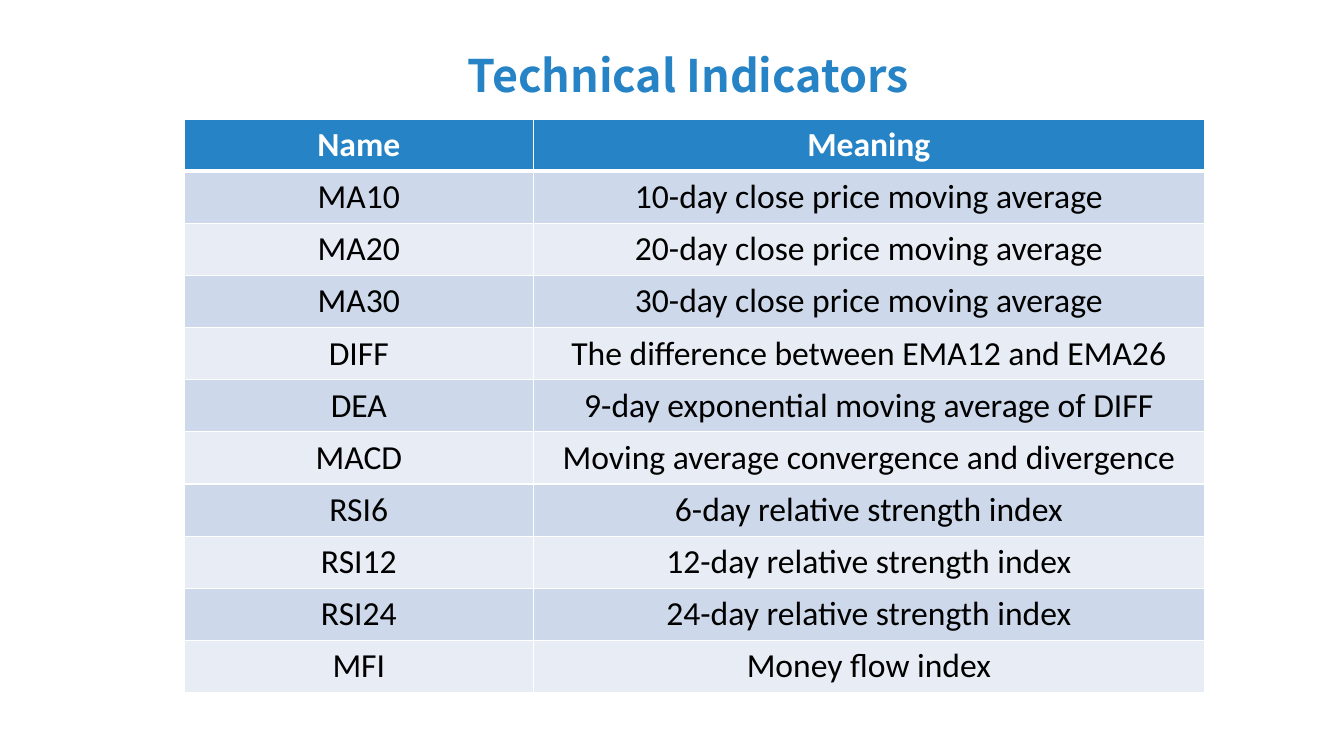
"""Build a slide with a table of technical indicators."""
import pptx
import pptx.dml.color
import pptx.enum.text
import pptx.oxml
import pptx.oxml.ns
import pptx.util

TITLE = "Technical Indicators"
ROWS = [
    ("Name", "Meaning"),
    ("MA10", "10-day close price moving average"),
    ("MA20", "20-day close price moving average"),
    ("MA30", "30-day close price moving average"),
    ("DIFF", "The difference between EMA12 and EMA26"),
    ("DEA", "9-day exponential moving average of DIFF"),
    ("MACD", "Moving average convergence and divergence"),
    ("RSI6", "6-day relative strength index"),
    ("RSI12", "12-day relative strength index"),
    ("RSI24", "24-day relative strength index"),
    ("MFI", "Money flow index"),
]
BLUE, WHITE, BLACK = "2683C6", "FFFFFF", "000000"
BANDS = ("E8EDF5", "CDD9EA")
COLUMN_WIDTHS = (249.12, 479.52)
ROW_HEIGHT = 37.25
TABLE_LEFT, TABLE_TOP = 131.76, 84.96
Pt = pptx.util.Pt


def color(value):
    return pptx.dml.color.RGBColor.from_string(value)


def set_font(font, name, size, value, bold):
    font.name = name
    font.size = Pt(size)
    font.color.rgb = color(value)
    font.bold = bold


def set_borders(cell, top, bottom):
    properties = cell._tc.get_or_add_tcPr()
    for side, width in (("L", 1), ("R", 1), ("T", top), ("B", bottom)):
        properties.append(pptx.oxml.parse_xml(
            f'<a:ln{side} {pptx.oxml.ns.nsdecls("a")} w="{Pt(width)}">'
            f'<a:solidFill><a:srgbClr val="{WHITE}"/></a:solidFill></a:ln{side}>'))


def add_title(page):
    title = page.shapes.title
    title.left, title.top, title.width, title.height = Pt(326.88), Pt(19), Pt(338.4), Pt(52.56)
    frame = title.text_frame
    frame.text = TITLE
    frame.word_wrap = False
    frame.auto_size = pptx.enum.text.MSO_AUTO_SIZE.NONE
    frame.vertical_anchor = pptx.enum.text.MSO_ANCHOR.TOP
    para = frame.paragraphs[0]
    para.alignment = pptx.enum.text.PP_ALIGN.LEFT
    para.line_spacing = 1.3
    para.space_before = Pt(0)
    set_font(para.font, "Noto Sans CJK SC", 32, BLUE, True)


def add_indicators(page):
    table = page.shapes.add_table(
        len(ROWS), len(COLUMN_WIDTHS), Pt(TABLE_LEFT), Pt(TABLE_TOP),
        Pt(sum(COLUMN_WIDTHS)), Pt(ROW_HEIGHT * len(ROWS))).table
    for column, width in zip(table.columns, COLUMN_WIDTHS):
        column.width = Pt(width)
    for index, texts in enumerate(ROWS):
        header = index == 0
        table.rows[index].height = Pt(ROW_HEIGHT)
        for cell, text in zip(table.rows[index].cells, texts):
            cell.text = text
            cell.vertical_anchor = pptx.enum.text.MSO_ANCHOR.MIDDLE
            set_borders(cell, 3 if index == 1 else 1, 3 if header else 1)
            cell.fill.solid()
            cell.fill.fore_color.rgb = color(BLUE if header else BANDS[index % 2])
            para = cell.text_frame.paragraphs[0]
            para.alignment = pptx.enum.text.PP_ALIGN.CENTER
            set_font(para.font, "Calibri", 24, WHITE if header else BLACK, header)


def main():
    deck = pptx.Presentation()
    deck.slide_width, deck.slide_height = Pt(960), Pt(540)
    page = deck.slides.add_slide(deck.slide_layouts[5])
    add_indicators(page)
    add_title(page)
    deck.save("out.pptx")


if __name__ == "__main__":
    main()
